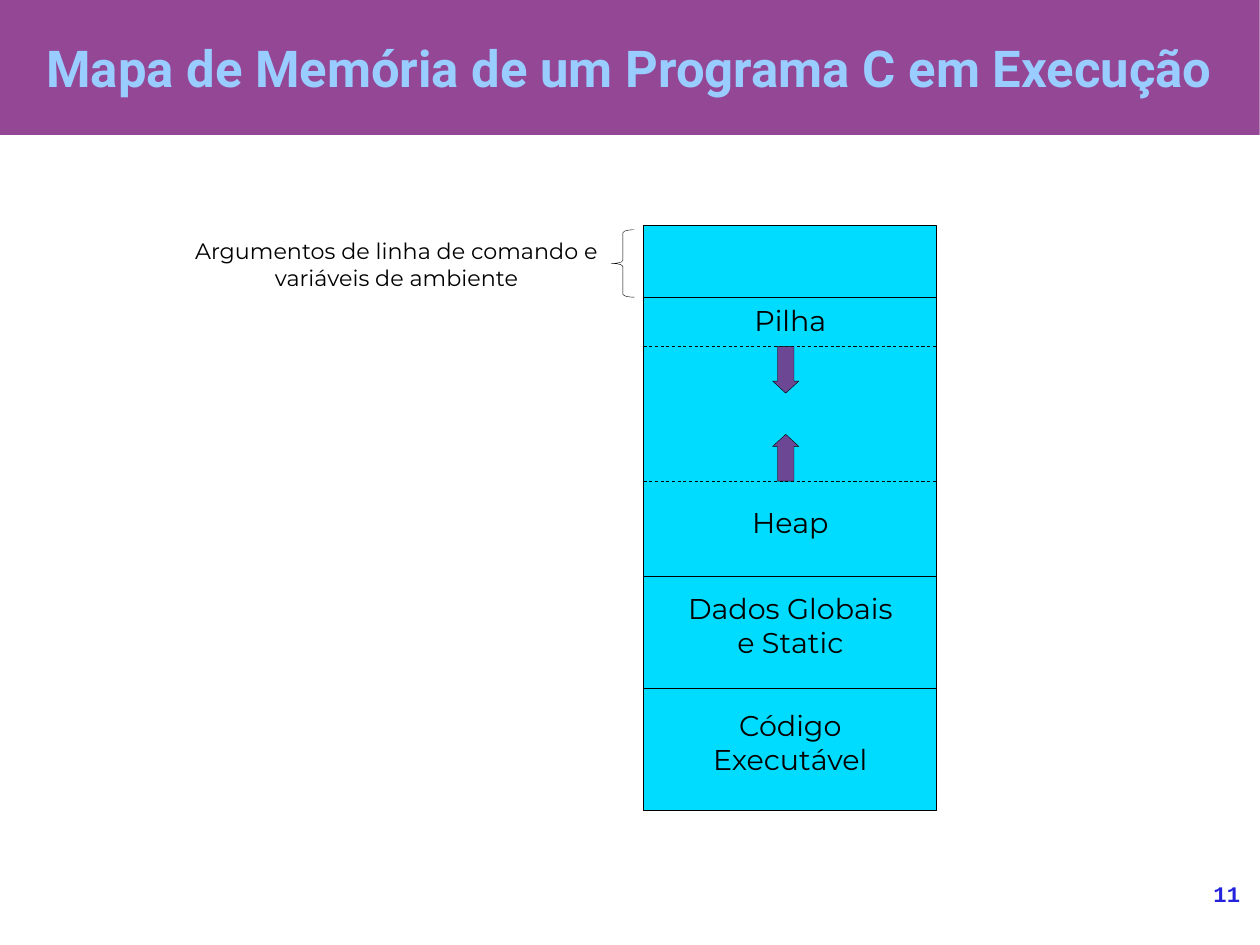
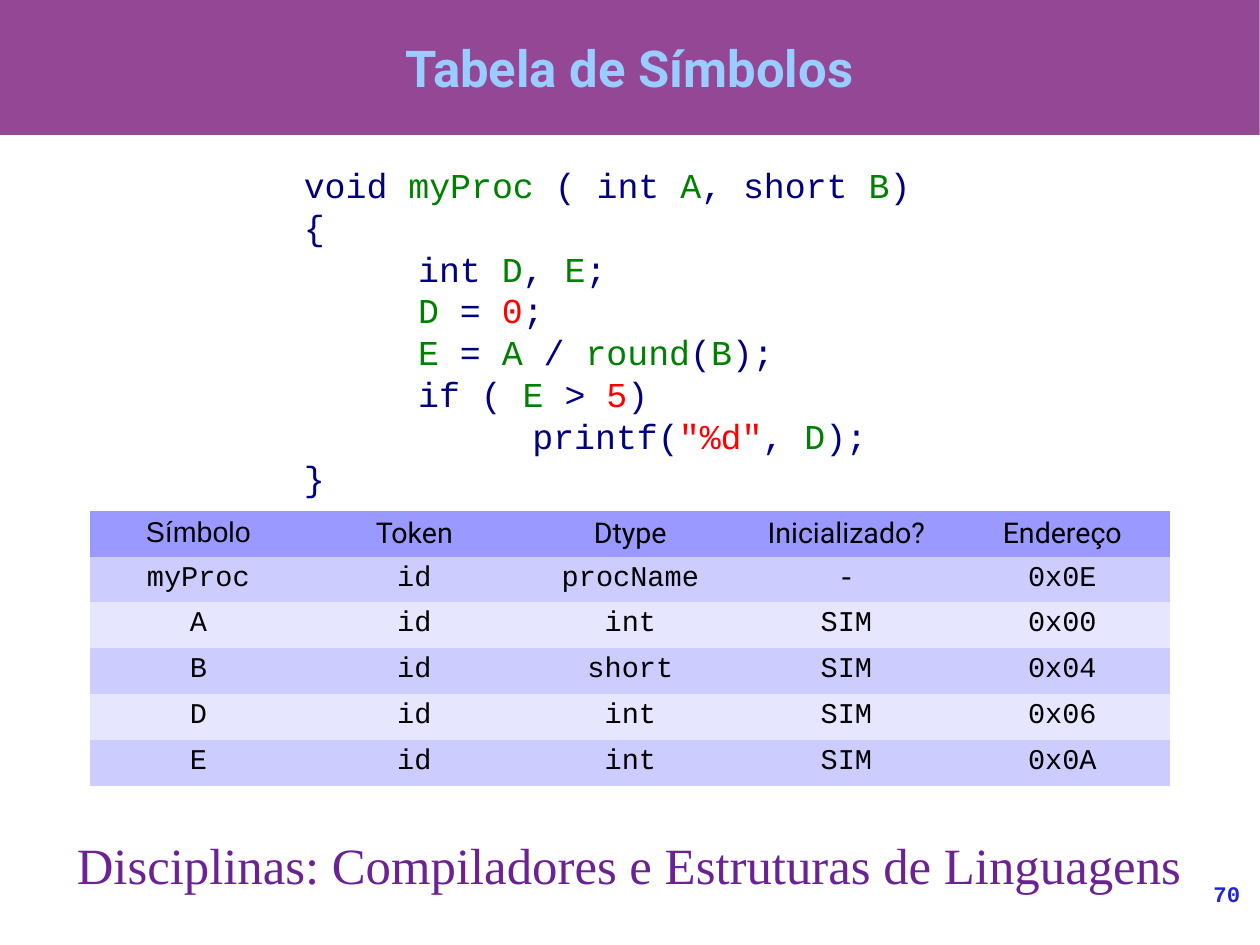
"""Builds two lecture pages: the memory map of a C program and a symbol table."""
from lxml.etree import SubElement
from pptx import Presentation
from pptx.dml.color import RGBColor
from pptx.enum.dml import MSO_LINE
from pptx.enum.shapes import MSO_CONNECTOR, MSO_SHAPE
from pptx.enum.text import MSO_ANCHOR, PP_ALIGN
from pptx.oxml.ns import qn
from pptx.util import Cm, Inches, Pt

PAGE_WIDTH = 11.02
BLACK = RGBColor(0x00, 0x00, 0x00)
WHITE = RGBColor(0xFF, 0xFF, 0xFF)
BAND_PURPLE = RGBColor(0x94, 0x47, 0x94)
TITLE_BLUE = RGBColor(0x99, 0xCC, 0xFF)
NUMBER_BLUE = RGBColor(0x23, 0x23, 0xDC)
MEMORY_CYAN = RGBColor(0x00, 0xDC, 0xFF)
ARROW_PURPLE = RGBColor(0x6B, 0x47, 0x94)
NOTE_PURPLE = RGBColor(0x6B, 0x23, 0x94)
CODE_NAVY = RGBColor(0x00, 0x00, 0x80)
NAME_GREEN = RGBColor(0x00, 0x80, 0x00)
LITERAL_RED = RGBColor(0xFF, 0x00, 0x00)
HEADER_FILL = RGBColor(0x99, 0x99, 0xFF)
ROW_FILLS = (RGBColor(0xCC, 0xCC, 0xFF), RGBColor(0xE6, 0xE6, 0xFF))
NO_TABLE_STYLE = "{2D5ABB26-0587-4C30-8999-92F81FD0307C}"
HAIRLINE, DASHED_LINE = Pt(0.25), Pt(0.5)

MEMORY_LEFT, MEMORY_TOP, MEMORY_WIDTH, MEMORY_HEIGHT = 5.63, 1.97, 2.56, 5.12
SOLID_BORDERS = (2.6, 5.04, 6.02)
STACK_END, HEAP_END = 3.03, 4.21
ARROW_LEFT, ARROW_WIDTH, ARROW_HEIGHT = 6.76, 0.23, 0.41
SECTIONS = (
    ("Pilha", 2.6, 0.45),
    ("Heap", 4.37, 0.45),
    ("Dados Globais\ve Static", 5.12, 0.81),
    ("Código\vExecutável", 6.14, 0.81),
)

CODE_NAMES = {"myProc", "A", "B", "D", "E", "round"}
CODE_LITERALS = {"0", "5", '"%d"'}
CODE_LINES = (
    "void |myProc| ( int |A|, short |B|)",
    "{",
    "\tint |D|, |E|;",
    "\t|D| = |0|;",
    "\t|E| = |A| / |round|(|B|);",
    "\tif ( |E| > |5|)",
    '\t\tprintf(|"%d"|, |D|);',
    "}",
)
SYMBOLS = (
    ("Símbolo", "Token", "Dtype", "Inicializado?", "Endereço"),
    ("myProc", "id", "procName", "-", "0x0E"),
    ("A", "id", "int", "SIM", "0x00"),
    ("B", "id", "short", "SIM", "0x04"),
    ("D", "id", "int", "SIM", "0x06"),
    ("E", "id", "int", "SIM", "0x0A"),
)


def inches(*lengths):
    return [Inches(length) for length in lengths]


def style_paragraph(paragraph, size, font, color, align=PP_ALIGN.CENTER, bold=False):
    paragraph.alignment = align
    paragraph.font.size = Pt(size)
    paragraph.font.name = font
    paragraph.font.color.rgb = color
    paragraph.font.bold = bold


def add_frame(page, area, padded=True):
    frame = page.shapes.add_textbox(*inches(*area)).text_frame
    frame.word_wrap = True
    if not padded:
        frame.margin_left = frame.margin_right = 0
        frame.margin_top = frame.margin_bottom = 0
    return frame


def add_text(page, area, text, size, font, color, padded=True, **style):
    frame = add_frame(page, area, padded)
    frame.text = text
    style_paragraph(frame.paragraphs[0], size, font, color, **style)
    return frame


def add_block(page, kind, area, fill=None, line=BLACK, adjustments=()):
    shape = page.shapes.add_shape(kind, *inches(*area))
    shape.shadow.inherit = False
    if fill is None:
        shape.fill.background()
    else:
        shape.fill.solid()
        shape.fill.fore_color.rgb = fill
    if line is None:
        shape.line.fill.background()
    else:
        shape.line.color.rgb = line
        shape.line.width = HAIRLINE
    for index, value in enumerate(adjustments):
        shape.adjustments[index] = value


def add_border(page, top, dashed=False):
    border = page.shapes.add_connector(
        MSO_CONNECTOR.STRAIGHT,
        *inches(MEMORY_LEFT, top, MEMORY_LEFT + MEMORY_WIDTH, top))
    border.line.color.rgb = BLACK
    border.line.width = DASHED_LINE if dashed else HAIRLINE
    if dashed:
        border.line.dash_style = MSO_LINE.DASH
    SubElement(border.element.spPr, qn("a:effectLst"))


def add_page(deck, title, number):
    page = deck.slides.add_slide(deck.slide_layouts[6])
    page.background.fill.solid()
    page.background.fill.fore_color.rgb = WHITE
    add_block(page, MSO_SHAPE.RECTANGLE, (0, 0, PAGE_WIDTH, 1.18), BAND_PURPLE, None)
    frame = add_text(page, (0, -0.1, PAGE_WIDTH, 1.38), title, 32, "Roboto",
                     TITLE_BLUE, padded=False, bold=True)
    frame.vertical_anchor = MSO_ANCHOR.MIDDLE
    add_text(page, (9.17, 7.7, 1.68, 0.57), number, 14, "Courier New",
             NUMBER_BLUE, padded=False, align=PP_ALIGN.RIGHT, bold=True)
    return page


def add_memory_map(page):
    add_block(page, MSO_SHAPE.RECTANGLE,
              (MEMORY_LEFT, MEMORY_TOP, MEMORY_WIDTH, MEMORY_HEIGHT), MEMORY_CYAN)
    for top in SOLID_BORDERS:
        add_border(page, top)
    for top in (STACK_END, HEAP_END):
        add_border(page, top, dashed=True)
    for label, top, height in SECTIONS:
        add_text(page, (5.83, top, 2.17, height), label, 18, "Montserrat", BLACK)
    for kind, top in ((MSO_SHAPE.DOWN_ARROW, STACK_END),
                      (MSO_SHAPE.UP_ARROW, HEAP_END - ARROW_HEIGHT)):
        add_block(page, kind, (ARROW_LEFT, top, ARROW_WIDTH, ARROW_HEIGHT),
                  ARROW_PURPLE, adjustments=(0.63, 0.46))
    add_text(page, (1.5, 2.03, 3.94, 0.65),
             "Argumentos de linha de comando e variáveis de ambiente",
             14, "Montserrat", BLACK)
    add_block(page, MSO_SHAPE.LEFT_BRACE, (5.35, 2.01, 0.2, 0.59),
              adjustments=(0.13, 0.5))


def code_color(piece):
    if piece in CODE_NAMES:
        return NAME_GREEN
    return LITERAL_RED if piece in CODE_LITERALS else CODE_NAVY


def add_code(page, area):
    frame = add_frame(page, area)
    for index, line in enumerate(CODE_LINES):
        paragraph = frame.add_paragraph() if index else frame.paragraphs[0]
        stops = SubElement(paragraph._p.get_or_add_pPr(), qn("a:tabLst"))
        for position in (1, 2):
            SubElement(stops, qn("a:tab"), pos=str(Inches(position)), algn="l")
        style_paragraph(paragraph, 22, "Courier New", CODE_NAVY, PP_ALIGN.LEFT)
        for piece in line.split("|"):
            span = paragraph.add_run()
            span.text = piece
            span.font.color.rgb = code_color(piece)


def add_symbol_table(page, area):
    holder = page.shapes.add_table(len(SYMBOLS), len(SYMBOLS[0]), *inches(*area))
    for style in holder.element.iter(qn("a:tableStyleId")):
        style.text = NO_TABLE_STYLE
    table = holder.table
    table.first_row = table.horz_banding = False
    for row, values in enumerate(SYMBOLS):
        for column, value in enumerate(values):
            cell = table.cell(row, column)
            cell.text = value
            cell.fill.solid()
            cell.fill.fore_color.rgb = ROW_FILLS[(row - 1) % 2] if row else HEADER_FILL
            font = "Courier New" if row else "Roboto" if column else "Arial"
            style_paragraph(cell.text_frame.paragraphs[0], 18, font, BLACK)


def main():
    deck = Presentation()
    deck.slide_width = Cm(28)
    deck.slide_height = Cm(21)

    memory_page = add_page(deck, "Mapa de Memória de um Programa C em Execução", "11")
    add_memory_map(memory_page)

    symbol_page = add_page(deck, "Tabela de Símbolos", "70")
    add_code(symbol_page, (2.56, 1.38, 5.91, 2.87))
    add_symbol_table(symbol_page, (0.79, 4.47, 9.45, 2.4))
    add_text(symbol_page, (0.54, 7.29, 9.94, 0.49),
             "Disciplinas: Compiladores e Estruturas de Linguagens",
             32, "Times New Roman", NOTE_PURPLE, padded=False)

    deck.save("out.pptx")


if __name__ == "__main__":
    main()
